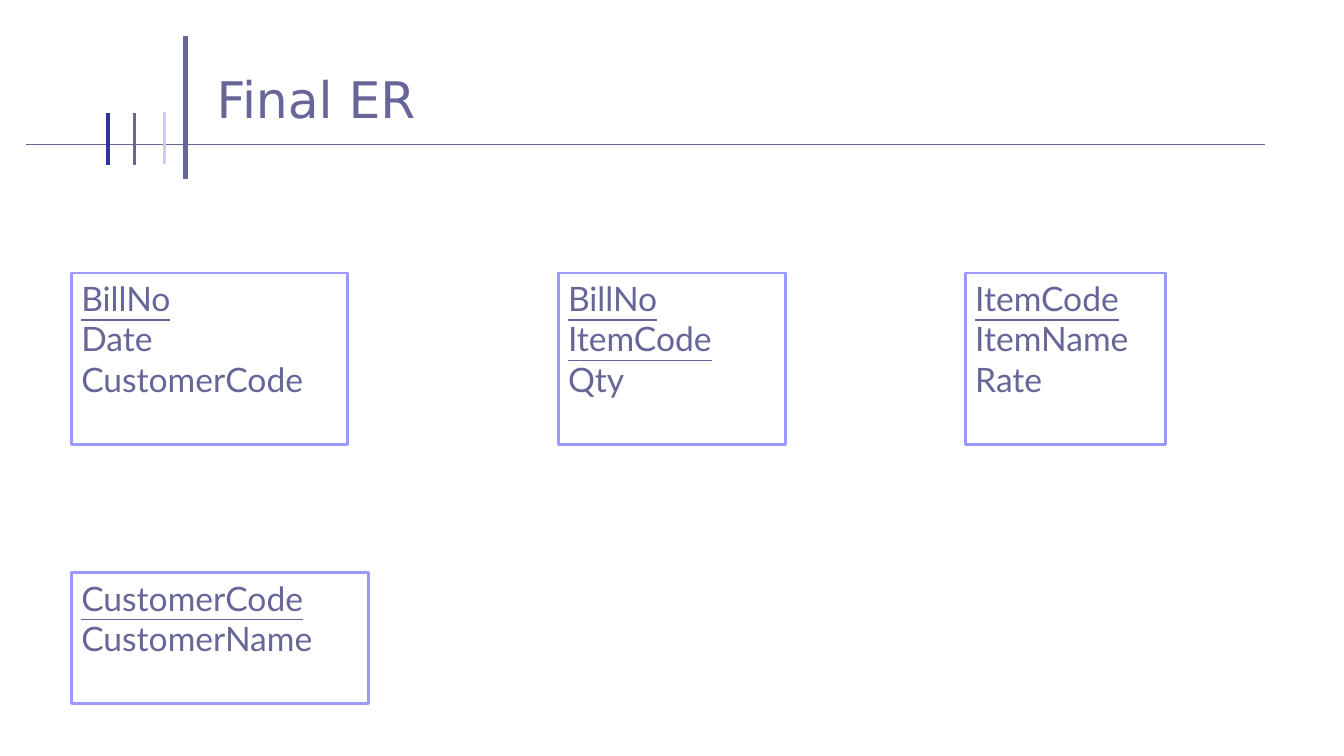
import dataclasses

import pptx
import pptx.dml.color
import pptx.enum.shapes
import pptx.enum.text
import pptx.oxml.ns
import pptx.slide
import pptx.util
from lxml import etree

Pt = pptx.util.Pt
RGBColor = pptx.dml.color.RGBColor

WHITE = RGBColor(0xFF, 0xFF, 0xFF)
SLATE = RGBColor(0x66, 0x66, 0x99)
NAVY = RGBColor(0x33, 0x33, 0x99)
LAVENDER = RGBColor(0xCC, 0xCC, 0xFF)
PERIWINKLE = RGBColor(0x99, 0x99, 0xFF)

TITLE_FONT = "DejaVu Sans"
BODY_FONT = "Lato"


@dataclasses.dataclass(frozen=True)
class Rule:
    x1: float
    y1: float
    x2: float
    y2: float
    color: RGBColor
    weight: float


@dataclasses.dataclass(frozen=True)
class Entity:
    left: float
    top: float
    width: float
    height: float
    keys: tuple[str, ...]
    attributes: tuple[str, ...]


RULES = [
    Rule(132.5, 128.2, 132.5, 26, SLATE, 3),
    Rule(18.7, 103, 903.6, 103, SLATE, 0.75),
    Rule(117.4, 80, 117.4, 117, LAVENDER, 2.25),
    Rule(95.8, 81, 95.8, 118, SLATE, 2.25),
    Rule(77.2, 81, 77.2, 118, NAVY, 2.25),
]

LEFT_COLUMN = 51
TOP_ROW, TOP_HEIGHT = 195, 122.4
ENTITIES = [
    Entity(LEFT_COLUMN, TOP_ROW, 197, TOP_HEIGHT, ("BillNo",), ("Date", "CustomerCode")),
    Entity(398.7, TOP_ROW, 162.7, TOP_HEIGHT, ("BillNo", "ItemCode"), ("Qty",)),
    Entity(689.5, TOP_ROW, 143, TOP_HEIGHT, ("ItemCode",), ("ItemName", "Rate")),
    Entity(LEFT_COLUMN, 409, 212.5, 93.6, ("CustomerCode",), ("CustomerName",)),
]


def draw_rule(page: pptx.slide.Slide, rule: Rule) -> None:
    line = page.shapes.add_connector(
        pptx.enum.shapes.MSO_CONNECTOR.STRAIGHT,
        Pt(rule.x1), Pt(rule.y1), Pt(rule.x2), Pt(rule.y2),
    )
    line.line.color.rgb = rule.color
    line.line.width = Pt(rule.weight)
    etree.SubElement(line._element.spPr, pptx.oxml.ns.qn("a:effectLst"))


def draw_title(page: pptx.slide.Slide, text: str) -> None:
    title = page.shapes.title
    title.left, title.top = Pt(147.6), Pt(20.2)
    title.width, title.height = Pt(784), Pt(100)
    frame = title.text_frame
    frame.text = text
    frame.vertical_anchor = pptx.enum.text.MSO_ANCHOR.MIDDLE
    para = frame.paragraphs[0]
    para.alignment = pptx.enum.text.PP_ALIGN.LEFT
    font = para.runs[0].font
    font.name, font.size = TITLE_FONT, Pt(36)
    font.color.rgb = SLATE


def draw_entity(page: pptx.slide.Slide, entity: Entity) -> None:
    box = page.shapes.add_shape(
        pptx.enum.shapes.MSO_SHAPE.RECTANGLE,
        Pt(entity.left), Pt(entity.top), Pt(entity.width), Pt(entity.height),
    )
    box.shadow.inherit = False
    box.fill.solid()
    box.fill.fore_color.rgb = WHITE
    box.line.color.rgb = PERIWINKLE
    box.line.width = Pt(2)

    frame = box.text_frame
    frame.word_wrap = True
    frame.vertical_anchor = pptx.enum.text.MSO_ANCHOR.TOP
    frame.margin_left = frame.margin_right = Pt(7.2)
    frame.margin_top = frame.margin_bottom = Pt(3.6)
    frame.text = "\n".join(entity.keys + entity.attributes)
    for index, para in enumerate(frame.paragraphs):
        para.alignment = pptx.enum.text.PP_ALIGN.LEFT
        font = para.runs[0].font
        font.name, font.size = BODY_FONT, Pt(24)
        font.color.rgb = SLATE
        # Key fields come first and are underlined
        font.underline = index < len(entity.keys)


def main() -> None:
    deck = pptx.Presentation()
    deck.slide_width, deck.slide_height = Pt(960), Pt(540)
    page = deck.slides.add_slide(deck.slide_layouts.get_by_name("Title Only"))

    # Title with its decorative rules
    for rule in RULES:
        draw_rule(page, rule)
    draw_title(page, "Final ER")

    # Entity boxes
    for entity in ENTITIES:
        draw_entity(page, entity)

    deck.save("out.pptx")


if __name__ == "__main__":
    main()
